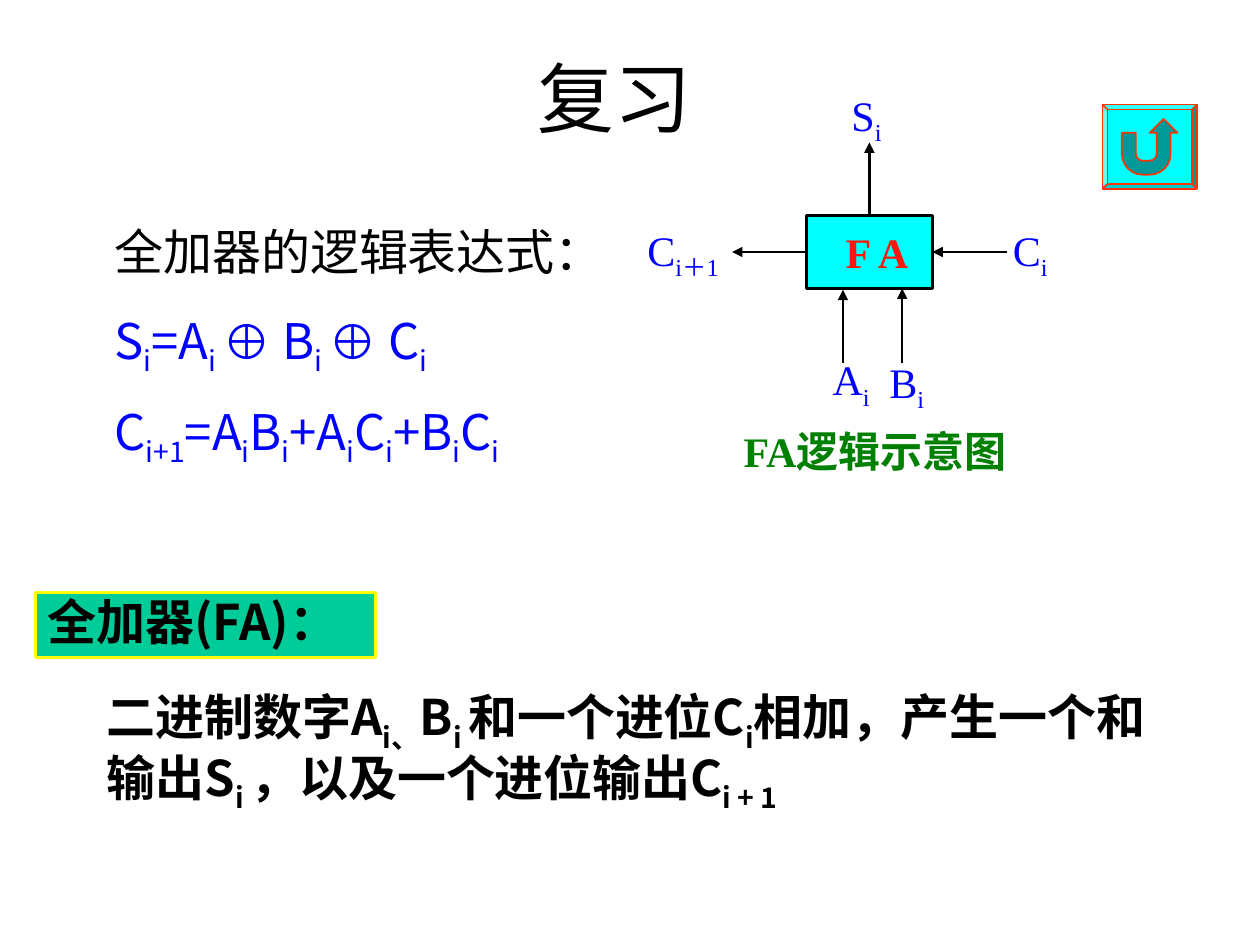
from dataclasses import dataclass
from itertools import groupby

from lxml.etree import SubElement
from pptx import Presentation
from pptx.dml.color import RGBColor
from pptx.enum.shapes import MSO_CONNECTOR, MSO_SHAPE
from pptx.enum.text import MSO_ANCHOR, MSO_AUTO_SIZE, PP_ALIGN
from pptx.oxml.ns import qn
from pptx.util import Emu, Pt

PX = 9144  # 100 px to the inch


@dataclass(frozen=True)
class Theme:
    serif: str = "Times New Roman"
    sans: str = "Noto Sans CJK SC"
    symbol: str = "Arial"
    black: str = "000000"
    blue: str = "0000FF"
    red: str = "FA170C"
    green: str = "008000"
    cyan: str = "00FFFF"
    teal: str = "00CC99"
    yellow: str = "FFFF00"
    orange: str = "FF3300"
    title: int = 44
    body: int = 28
    label: int = 24


THEME = Theme()


def px(*sizes):
    return [Emu(size * PX) for size in sizes]


def write(para, text, size, color, face, bold=False):
    """Fill a paragraph; every second part between bars is a subscript."""
    for index, part in enumerate(text.split("|")):
        for symbol, chars in groupby(part, lambda char: char == "⊕"):
            run = para.add_run()
            run.text = "".join(chars)
            font = run.font
            font.size, font.bold = Pt(size), bold
            font.color.rgb = RGBColor.from_string(color)
            font.name = THEME.symbol if symbol else face
            props = run._r.get_or_add_rPr()
            SubElement(props, qn("a:ea")).set("typeface", THEME.sans)
            if index % 2:
                props.set("baseline", "-25000")


def add_text(slide, box, lines, size, color, face, bold=False, wrap=False,
             align=PP_ALIGN.LEFT, spacing=None):
    """Add a text box; each line is a text or a (text, color) pair."""
    frame = slide.shapes.add_textbox(*px(*box)).text_frame
    frame.word_wrap = wrap
    frame.auto_size = MSO_AUTO_SIZE.SHAPE_TO_FIT_TEXT
    for index, line in enumerate(lines):
        para = frame.add_paragraph() if index else frame.paragraphs[0]
        para.alignment, para.line_spacing = align, spacing
        if index:
            para.space_before = Pt(17.5)
        text, tint = line if isinstance(line, tuple) else (line, color)
        write(para, text, size, tint, face, bold)
    return frame


def add_block(slide, kind, box, fill, line, width):
    shape = slide.shapes.add_shape(kind, *px(*box))
    shape.shadow.inherit = False
    shape.fill.solid()
    shape.fill.fore_color.rgb = RGBColor.from_string(fill)
    shape.line.color.rgb = RGBColor.from_string(line)
    shape.line.width = Pt(width)
    return shape


def add_arrow(slide, start, end):
    arrow = slide.shapes.add_connector(MSO_CONNECTOR.STRAIGHT,
                                       *px(*start, *end))
    arrow.line.color.rgb = RGBColor.from_string(THEME.black)
    arrow.line.width = Pt(1.5)
    SubElement(arrow.line._get_or_add_ln(), qn("a:tailEnd")).set(
        "type", "triangle")
    SubElement(arrow._element.spPr, qn("a:effectLst"))
    return arrow


def add_title(slide, box, text):
    title = slide.shapes.title
    title.left, title.top, title.width, title.height = px(*box)
    frame = title.text_frame
    frame.vertical_anchor = MSO_ANCHOR.MIDDLE
    frame.paragraphs[0].alignment = PP_ALIGN.CENTER
    write(frame.paragraphs[0], text, THEME.title, THEME.black, THEME.serif)


def add_adder(slide, left, top):
    """Draw the full adder with its signals and caption."""
    def at(x, y, *size):
        return (left + x, top + y, *size)

    adder = add_block(slide, MSO_SHAPE.RECTANGLE, at(140, 111, 100, 58),
                      THEME.cyan, THEME.black, 1.5)
    frame = adder.text_frame
    frame.margin_left, frame.margin_right = px(20, 8)
    frame.vertical_anchor = MSO_ANCHOR.MIDDLE
    frame.paragraphs[0].alignment = PP_ALIGN.CENTER
    write(frame.paragraphs[0], "F A", THEME.label, THEME.red, THEME.serif,
          True)

    # text, label left, top and width, arrow start and end
    signals = [
        ("A|i", 151, 216, 49, (169, 228), (169, 170)),
        ("B|i", 196, 218, 47, (216, 228), (216, 169)),
        ("C|i", 294, 113, 47, (299, 140), (240, 140)),
        ("C|i＋1", 4, 113, 92, (140, 140), (81, 140)),
        ("S|i", 166, 6, 44, (190, 111), (190, 53)),
    ]
    arrows = {}
    for text, x, y, width, start, end in signals:
        arrows[text] = add_arrow(slide, at(*start), at(*end))
        label = add_text(slide, at(x, y, width, 56), [text], THEME.label,
                         THEME.blue, THEME.serif)
        label.margin_right = 0
    arrows["C|i"].end_connect(adder, 3)
    arrows["C|i＋1"].begin_connect(adder, 1)
    arrows["S|i"].begin_connect(adder, 0)

    add_text(slide, at(58, 273, 273, 50), ["FA逻辑示意图"], THEME.label,
             THEME.green, THEME.serif, bold=True, wrap=True,
             align=PP_ALIGN.CENTER)


def add_logic(slide, box):
    add_text(slide, box, [
        ("全加器的逻辑表达式：", THEME.black),
        "S|i|=A|i |⊕ B|i |⊕ C|i",
        "C|i+1|=A|i|B|i|+A|i|C|i|+B|i|C|i",
    ], THEME.body, THEME.blue, THEME.sans, spacing=0.9)


def add_meaning(slide, left, top):
    """Place the boxed term with its definition below."""
    term = add_block(slide, MSO_SHAPE.RECTANGLE, (left, top, 270, 52),
                     THEME.teal, THEME.yellow, 1.5)
    frame = term.text_frame
    frame.word_wrap = False
    frame.vertical_anchor = MSO_ANCHOR.TOP
    para = frame.paragraphs[0]
    para.alignment, para.line_spacing = PP_ALIGN.LEFT, 0.9
    write(para, "全加器(FA)：", THEME.body, THEME.black, THEME.sans, True)
    add_text(slide, (left + 47, top + 71, 868, 106), [
        "二进制数字A|i、|B|i |和一个进位C|i|相加，产生一个和输出S|i |"
        "，以及一个进位输出C|i + 1",
    ], THEME.body, THEME.black, THEME.sans, bold=True, wrap=True,
        spacing=0.9)


def add_button(slide, left, top, width, height):
    """Set a return button inside a bevelled rim."""
    rim = 4
    bevel = add_block(slide, MSO_SHAPE.BEVEL, (left, top, width, height),
                      THEME.cyan, THEME.orange, 1)
    bevel.adjustments[0] = rim / height
    inner = (left + rim, top + rim, width - 2 * rim, height - 2 * rim)
    add_block(slide, MSO_SHAPE.ACTION_BUTTON_RETURN, inner,
              THEME.cyan, THEME.orange, 1)


def main():
    deck = Presentation()
    deck.slide_width, deck.slide_height = px(1000, 750)
    slide = deck.slides.add_slide(deck.slide_layouts[5])
    add_title(slide, (63, 14, 850, 125), "复习")
    add_adder(slide, 500, 60)
    add_meaning(slide, 28, 470)
    add_button(slide, 875, 83, 75, 67)
    add_logic(slide, (81, 176, 417, 196))
    deck.save("out.pptx")


if __name__ == "__main__":
    main()
